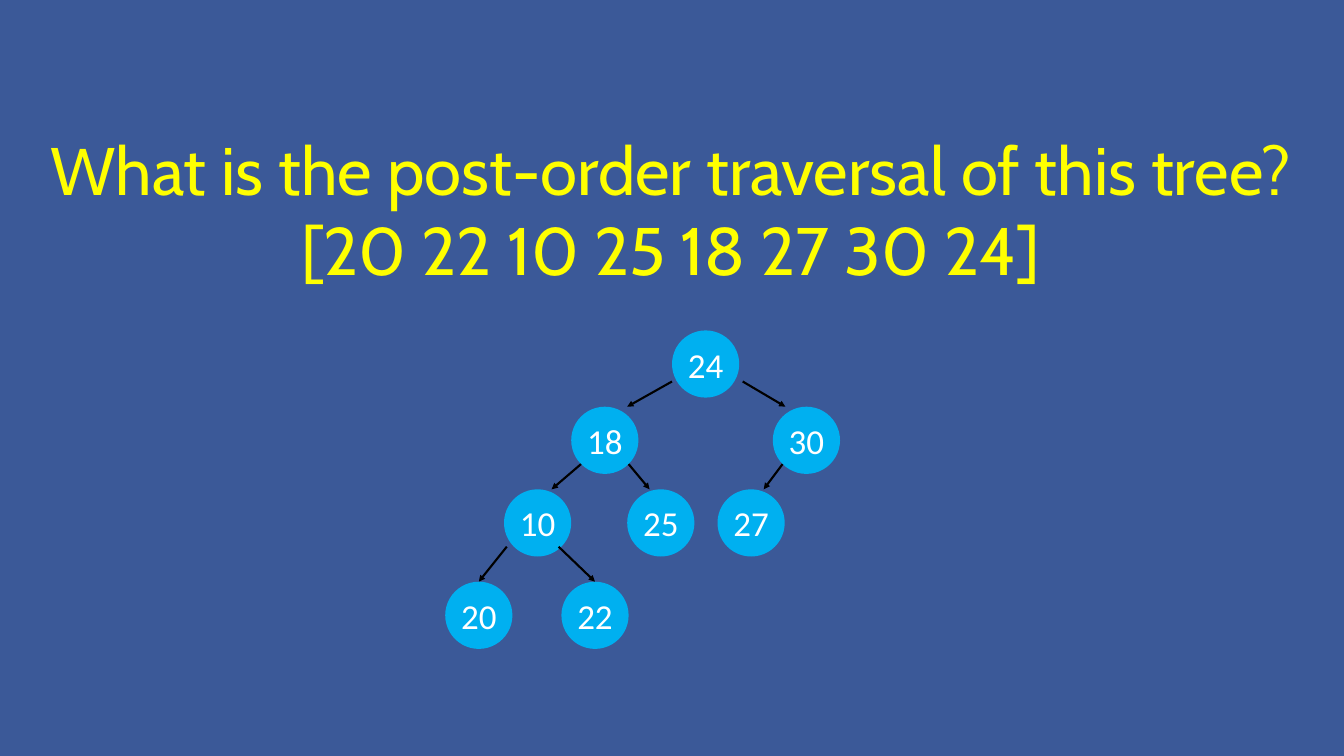
from dataclasses import dataclass

from lxml import etree
from pptx import Presentation
from pptx.dml.color import RGBColor
from pptx.enum.shapes import MSO_CONNECTOR, MSO_SHAPE
from pptx.enum.text import MSO_ANCHOR, MSO_AUTO_SIZE, PP_ALIGN
from pptx.oxml.ns import qn
from pptx.util import Pt

PX = 12700  # EMU per px, 72 px to the inch
WIDTH, HEIGHT = 1920, 1080
TITLE_ONLY = 5
OVAL = MSO_SHAPE.OVAL
STRAIGHT = MSO_CONNECTOR.STRAIGHT
MIDDLE = MSO_ANCHOR.MIDDLE
NO_AUTOFIT = MSO_AUTO_SIZE.NONE
CENTER = PP_ALIGN.CENTER


@dataclass(frozen=True)
class Theme:
    background: str = "3B5998"
    title: str = "FFFF00"
    node: str = "00B0F0"
    label: str = "FFFFFF"
    edge: str = "000000"
    title_font: str = "Cabin"
    label_font: str = "Calibri"
    title_size: int = 96
    label_size: int = 50
    edge_width: int = 3


class Deck:
    def __init__(self, prs, theme):
        self.theme = theme
        self.slide = prs.slides.add_slide(prs.slide_layouts[TITLE_ONLY])
        self.fill(self.slide.background.fill, theme.background)

    def fill(self, fill, color):
        fill.solid()
        fill.fore_color.rgb = RGBColor.from_string(color)

    def run(self, p, text, font, size, color):
        r = p.add_run()
        r.text = text
        r.font.name = font
        r.font.size = Pt(size)
        r.font.color.rgb = RGBColor.from_string(color)

    def frame(self, sp, inset):
        tf = sp.text_frame
        tf.word_wrap = True
        tf.auto_size = NO_AUTOFIT
        tf.vertical_anchor = MIDDLE
        tf.margin_left = tf.margin_right = inset * PX
        tf.margin_top = tf.margin_bottom = inset * PX
        p = tf.paragraphs[0]
        p.alignment = CENTER
        return p

    def title(self, lines, x, y, w, h):
        t = self.theme
        sp = self.slide.shapes.title
        sp.left, sp.top, sp.width, sp.height = (v * PX for v in (x, y, w, h))
        p = self.frame(sp, 0)
        for i, line in enumerate(lines):
            if i:
                p.add_line_break()
            self.run(p, line, t.title_font, t.title_size, t.title)

    def node(self, label, x, y, size):
        t = self.theme
        sp = self.slide.shapes.add_shape(OVAL, x * PX, y * PX, size * PX, size * PX)
        sp.shadow.inherit = False
        self.fill(sp.fill, t.node)
        sp.line.fill.background()
        self.run(self.frame(sp, 6), label, t.label_font, t.label_size, t.label)

    def arrow(self, x1, y1, x2, y2):
        t = self.theme
        sp = self.slide.shapes.add_connector(STRAIGHT, x1 * PX, y1 * PX, x2 * PX, y2 * PX)
        sp.line.width = Pt(t.edge_width)
        self.fill(sp.line.fill, t.edge)
        ln = sp.line._get_or_add_ln()
        etree.SubElement(ln, qn("a:tailEnd"), type="triangle")
        etree.SubElement(sp._element.spPr, qn("a:effectLst"))


# Tree: each level has the top of its nodes and their left edges
NODE_SIZE = 96
LEVELS = [
    (472, {"24": 960}),
    (581, {"18": 816, "30": 1104}),
    (699, {"10": 720, "25": 896, "27": 1025}),
    (831, {"20": 636, "22": 802}),
]
# Arrows run from a height between two levels to the top of the lower one:
# start height, then (start x, end x) of each arrow
ARROWS = [
    (545, [(960, 896), (1061, 1122)]),
    (663, [(830, 788), (898, 928), (1118, 1091)]),
    (781, [(724, 684), (798, 850)]),
]


def main():
    prs = Presentation()
    prs.slide_width, prs.slide_height = WIDTH * PX, HEIGHT * PX
    deck = Deck(prs, Theme())

    # Question and answer
    deck.title(
        ["What is the post-order traversal of this tree?", "[20 22 10 25 18 27 30 24]"],
        -2, 208, WIDTH, 180,
    )

    # Nodes
    for top, nodes in LEVELS:
        for label, left in nodes.items():
            deck.node(label, left, top, NODE_SIZE)

    # Parent to child arrows
    for (start, spans), (end, _) in zip(ARROWS, LEVELS[1:]):
        for x1, x2 in spans:
            deck.arrow(x1, start, x2, end)

    prs.save("out.pptx")


if __name__ == "__main__":
    main()
